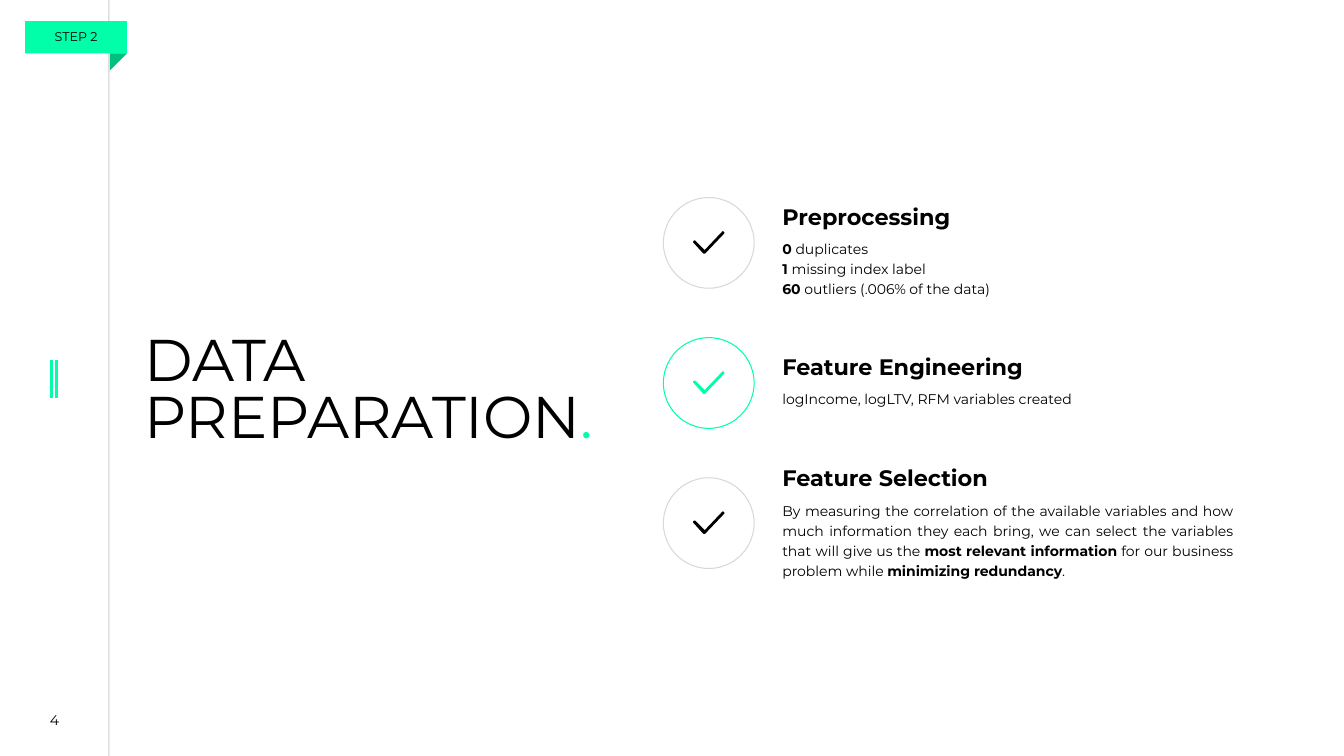
from lxml import etree
from pptx import Presentation
from pptx.dml.color import RGBColor
from pptx.enum.shapes import MSO_CONNECTOR, MSO_SHAPE
from pptx.enum.text import MSO_ANCHOR, MSO_AUTO_SIZE, PP_ALIGN
from pptx.oxml.ns import qn
from pptx.util import Pt

PX = 9144  # 100 px to the inch
FONT = "Montserrat"
BLACK, GREEN, DARK, GREY = "000000", "01FFA9", "00C07E", "D8D8D8"
LEFT, CENTER, JUST = PP_ALIGN.LEFT, PP_ALIGN.CENTER, PP_ALIGN.JUSTIFY
TOP, MIDDLE = MSO_ANCHOR.TOP, MSO_ANCHOR.MIDDLE
FIT, FIXED = MSO_AUTO_SIZE.SHAPE_TO_FIT_TEXT, MSO_AUTO_SIZE.NONE
OVAL, RECT, CORNER = MSO_SHAPE.OVAL, MSO_SHAPE.RECTANGLE, MSO_SHAPE.RIGHT_TRIANGLE
STRAIGHT = MSO_CONNECTOR.STRAIGHT

TICK = [(30, 1), (29, 0), (11, 19), (1, 9), (0, 10), (10, 21), (11, 21)]

# Heading, heading top, body top, body width, alignment, colours, body lines;
# asterisks enclose bold words
STEPS = [
    ("Preprocessing", 204, 230, 392, LEFT, GREY, BLACK,
     ["*0* duplicates", "*1* missing index label",
      "*60* outliers (.006% of the data)"]),
    ("Feature Engineering", 353, 379, 392, LEFT, GREEN, GREEN,
     ["logIncome, logLTV, RFM variables created"]),
    ("Feature Selection", 463, 490, 447, JUST, GREY, BLACK,
     ["By measuring the correlation of the available variables and how much "
      "information they each bring, we can select the variables that will "
      "give us the *most relevant information* for our business problem "
      "while *minimizing redundancy*."]),
]


def color(code):
    return RGBColor.from_string(code)


def emu(*sizes):
    return [size * PX for size in sizes]


def add_line(slide, x, top, end, code, width, alpha=None):
    line = slide.shapes.add_connector(STRAIGHT, *emu(x, top, x, end))
    line.line.color.rgb = color(code)
    line.line.width = Pt(width)
    props = line._element.spPr
    if alpha:
        tint = next(props.iter(qn("a:srgbClr")))
        etree.SubElement(tint, qn("a:alpha")).set("val", str(alpha * 1000))
    etree.SubElement(props, qn("a:effectLst"))


def paint(shape, fill=None, edge=None, width=0.75):
    shape.shadow.inherit = False
    if fill:
        shape.fill.solid()
        shape.fill.fore_color.rgb = color(fill)
    else:
        shape.fill.background()
    if edge:
        shape.line.color.rgb = color(edge)
        shape.line.width = Pt(width)
    else:
        shape.line.fill.background()


def add_shape(slide, kind, box, fill=None, edge=None):
    shape = slide.shapes.add_shape(kind, *emu(*box))
    paint(shape, fill, edge)
    return shape


def add_tick(slide, x, y, code):
    points = [emu(x + dx, y + dy) for dx, dy in TICK]
    path = slide.shapes.build_freeform(*points[0])
    path.add_line_segments(points[1:])
    paint(path.convert_to_shape(), code, code, 1)


def write(shape, lines, size, bold=None, align=LEFT, space=1.0,
          anchor=TOP, inset=(0, 0), fit=FIXED):
    frame = shape.text_frame
    frame.word_wrap = True
    frame.auto_size = fit
    frame.vertical_anchor = anchor
    frame.margin_left = frame.margin_right = 0
    frame.margin_top, frame.margin_bottom = emu(*inset)
    for i, line in enumerate(lines):
        para = frame.add_paragraph() if i else frame.paragraphs[0]
        para.alignment = align
        para.line_spacing = space
        para.font.name = FONT
        para.font.size = Pt(size)
        para.font.bold = bold
        para.font.color.rgb = color(BLACK)
        for j, part in enumerate(line.split("*")):
            if part:
                run = para.add_run()
                run.text = part
                if j % 2:
                    run.font.bold = True
    return frame


def add_text(slide, box, lines, size, **style):
    return write(slide.shapes.add_textbox(*emu(*box)), lines, size, **style)


def add_step(slide, row, step):
    head, head_top, body_top, width, align, ring, mark, lines = step
    y = 196 + 139 * row
    add_shape(slide, OVAL, (658, y, 90, 90), edge=ring)
    add_tick(slide, 688, y + 34, mark)
    add_text(slide, (776, head_top, 392, 29), [head], 16, bold=True,
             space=0.7, inset=(5, 5), fit=FIT)
    add_text(slide, (776, body_top, width, 7 + 20 * len(lines)), lines, 10,
             align=align, space=1.2, inset=(5, 5), fit=FIT)


def main():
    deck = Presentation()
    deck.slide_width, deck.slide_height = emu(1333, 750)
    slide = deck.slides.add_slide(deck.slide_layouts[6])

    # Side rail and page number
    add_line(slide, 108, 0, 750, BLACK, 0.75, alpha=20)
    for x in (51, 56):
        add_line(slide, x, 357, 395, GREEN, 2)
    add_text(slide, (26, 702, 56, 25), ["4"], 10, align=CENTER, anchor=MIDDLE)

    # Title with green full stop
    title = add_text(slide, (143, 313, 490, 169), ["DATA PREPARATION"], 42,
                     space=0.8, inset=(21, 0))
    stop = title.paragraphs[0].add_run()
    stop.text = "."
    stop.font.color.rgb = color(GREEN)

    # Steps
    for row, step in enumerate(STEPS):
        add_step(slide, row, step)

    # Ribbon
    tag = add_shape(slide, RECT, (25, 21, 101, 32), GREEN)
    write(tag, ["STEP 2"], 9, align=CENTER, anchor=MIDDLE, inset=(5, 6))
    fold = add_shape(slide, CORNER, (109, 53, 17, 17), DARK)
    fold.rotation = 90

    deck.save("out.pptx")


if __name__ == "__main__":
    main()
